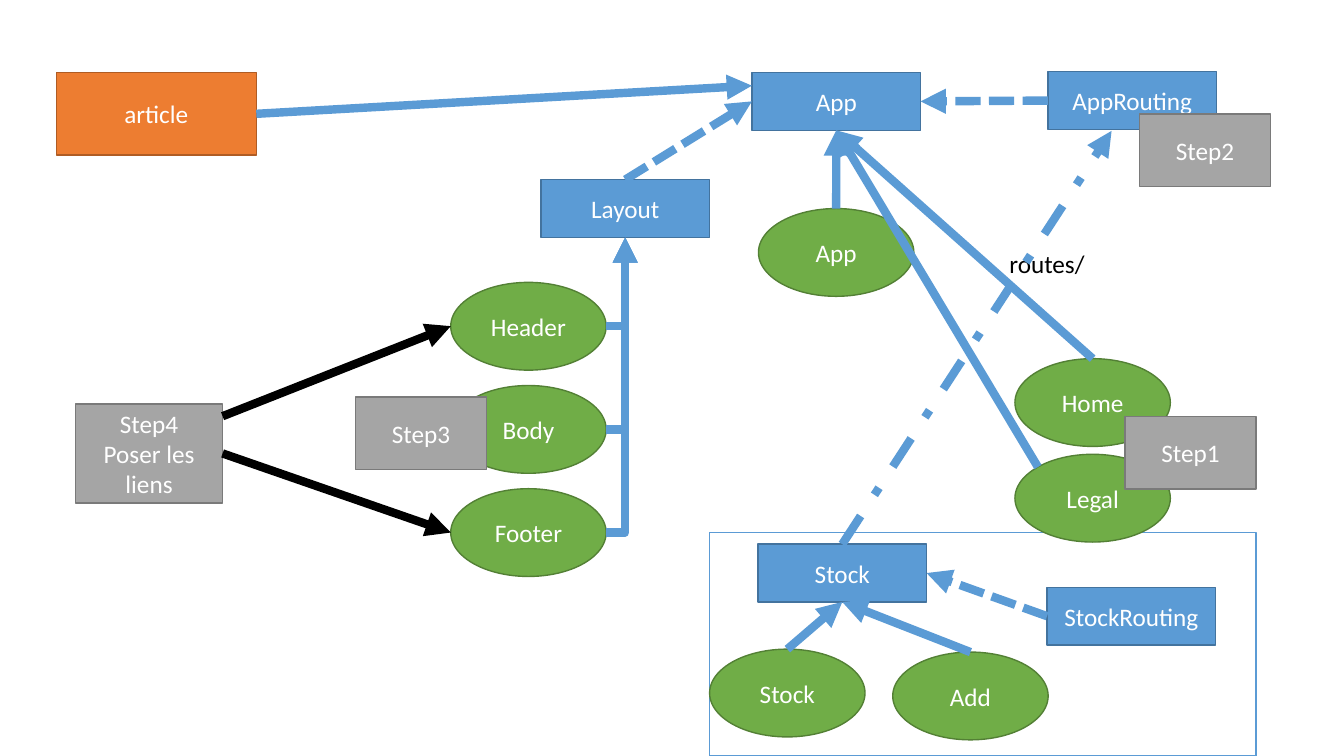
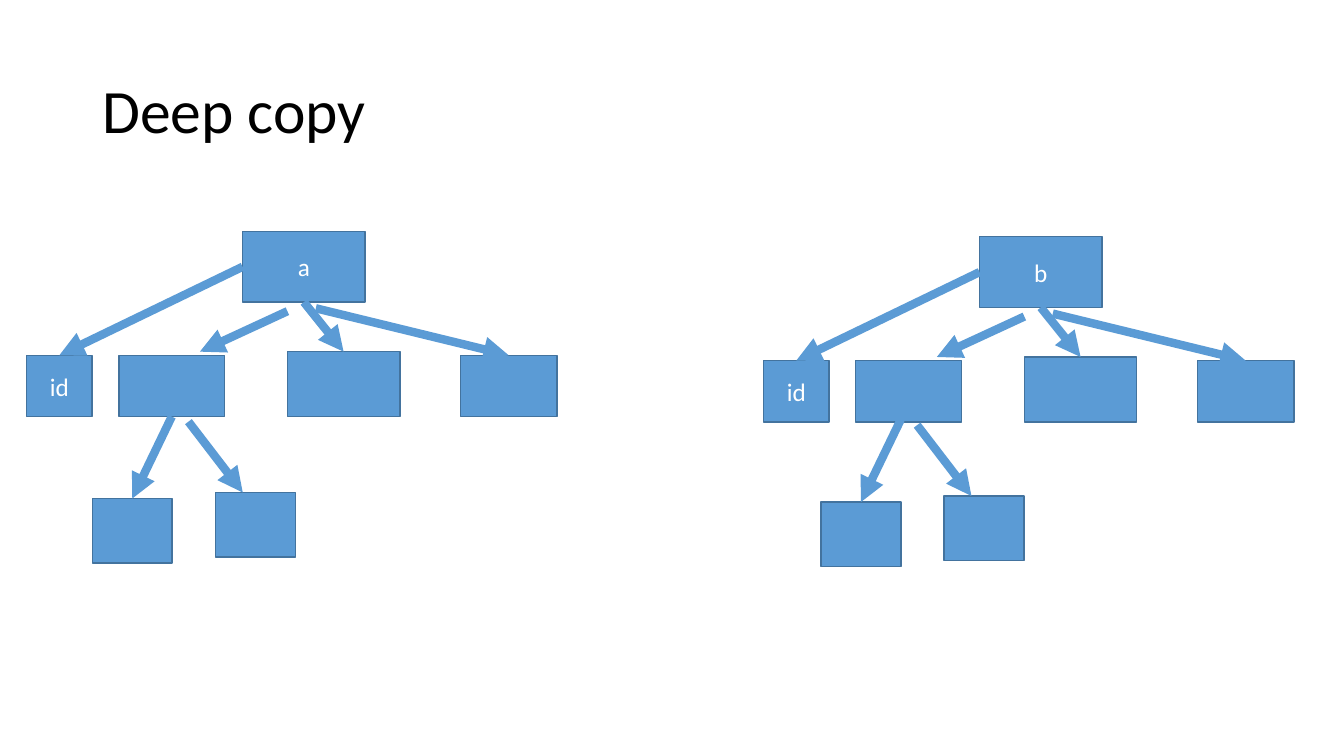
from pptx import Presentation
from pptx.dml.color import RGBColor
from pptx.enum.dml import MSO_LINE
from pptx.enum.shapes import MSO_CONNECTOR, MSO_SHAPE
from pptx.enum.text import MSO_ANCHOR, PP_ALIGN
from pptx.oxml.ns import qn
from pptx.util import Pt
from lxml.etree import SubElement

COLORS = {
    "white": "FFFFFF", "black": "000000",
    "blue": "5B9BD5", "blue edge": "43739E",
    "green": "70AD47", "green edge": "538035",
    "gray": "A5A5A5", "gray edge": "7A7A7A",
    "orange": "ED7D31", "orange edge": "AF5C24",
}
# Style: preset shape, fill, line
STYLES = {
    "frame": (MSO_SHAPE.RECTANGLE, "white", "blue"),
    "module": (MSO_SHAPE.RECTANGLE, "blue", "blue edge"),
    "component": (MSO_SHAPE.OVAL, "green", "green edge"),
    "step": (MSO_SHAPE.RECTANGLE, "gray", "gray edge"),
    "article": (MSO_SHAPE.RECTANGLE, "orange", "orange edge"),
}
RGB = {name: RGBColor.from_string(value) for name, value in COLORS.items()}
BODY_FONT = {"name": "Calibri", "size": Pt(18)}
TITLE_FONT = {"name": "Calibri", "size": Pt(44)}
TOP, LEFT, BOTTOM, RIGHT = range(4)


def write(shape, text, font, color, alignment):
    shape.text_frame.text = text
    for paragraph in shape.text_frame.paragraphs:
        paragraph.alignment = alignment
        for attribute, value in font.items():
            setattr(paragraph.font, attribute, value)
        paragraph.font.color.rgb = RGB[color]


def add_arrow(slide, begin, end, color="blue", dash=None, kind=MSO_CONNECTOR.STRAIGHT):
    """Each end is a point (x, y) or a joint (shape, side)."""
    joined = [not isinstance(place[0], (int, float)) for place in (begin, end)]
    points = [0 if is_joint else Pt(value)
              for place, is_joint in zip((begin, end), joined) for value in place]
    connector = slide.shapes.add_connector(kind, *points)
    if joined[0]:
        connector.begin_connect(*begin)
    if joined[1]:
        connector.end_connect(*end)
    connector.line.color.rgb = RGB[color]
    connector.line.width = Pt(6)
    if dash:
        connector.line.dash_style = dash
    properties = connector._element.spPr
    SubElement(properties.find(qn("a:ln")), qn("a:tailEnd"), type="triangle")
    SubElement(properties, qn("a:effectLst"))
    if kind == MSO_CONNECTOR.ELBOW:
        properties.find(qn("a:prstGeom")).set("prst", "bentConnector2")


presentation = Presentation()
presentation.slide_width, presentation.slide_height = Pt(960), Pt(540)
blank = presentation.slide_layouts[6]

# Slide 1: application structure
slide = presentation.slides.add_slide(blank)
groups = [  # style, width, height, places by text
    ("frame", 390.2, 159.8, {"": (506.9, 380.2)}),
    ("module", 120.5, 41.3, {
        "App": (537.1, 51.8), "AppRouting": (748.5, 51.2), "Layout": (386.4, 128.3),
        "Stock": (541.4, 388.7), "StockRouting": (747.9, 419.5)}),
    ("component", 111, 62.7, {
        "App": (541.8, 149),
        **{text: (322, 201.7 + 73.7 * row)
           for row, text in enumerate(("Header", "Body", "Footer"))},
        "Legal": (725, 324.5), "Home": (725, 256.2),
        "Stock": (506.9, 463.7), "Add": (637.7, 465.8)}),
    ("step", 93.5, 51.9, {
        "Step1": (803.7, 297.4), "Step2": (814, 81.3), "Step3": (254, 283.6)}),
    ("step", 105, 70.6, {"Step4\nPoser les liens": (54, 288.6)}),
    ("article", 142.9, 59, {"article": (40.2, 51.8)}),
]
nodes = {}
for style, width, height, places in groups:
    preset, fill, edge = STYLES[style]
    for text, (left, top) in places.items():
        shape = slide.shapes.add_shape(preset, Pt(left), Pt(top), Pt(width), Pt(height))
        shape.shadow.inherit = False
        shape.fill.solid()
        shape.fill.fore_color.rgb = RGB[fill]
        shape.line.color.rgb = RGB[edge]
        shape.line.width = Pt(1)
        if text:
            write(shape, text, BODY_FONT, "white", PP_ALIGN.CENTER)
        nodes[style, text.split("\n")[0]] = shape

routes = slide.shapes.add_textbox(Pt(714), Pt(173.5), Pt(69), Pt(29))
routes.text_frame.word_wrap = False
write(routes, "routes/", BODY_FONT, "black", PP_ALIGN.LEFT)

# Arrows into the layout
for middle in (306.7, 380.4, 233):
    add_arrow(slide, (433, middle), (446.6, 169.6), kind=MSO_CONNECTOR.ELBOW)

# Arrows between nodes
app, stock = nodes["module", "App"], nodes["module", "Stock"]
step4 = nodes["step", "Step4"]
dashed = {"dash": MSO_LINE.SQUARE_DOT}
arrows = [
    ((nodes["component", "App"], TOP), (app, BOTTOM), {}),
    ((nodes["module", "AppRouting"], LEFT), (app, RIGHT), dashed),
    ((nodes["module", "Layout"], TOP), (app, LEFT), dashed),
    ((nodes["component", "Home"], TOP), (app, BOTTOM), {}),
    ((741.4, 333.6), (app, BOTTOM), {}),
    ((step4, RIGHT), (322, 380.4), {"color": "black"}),
    ((159, 297.3), (322, 233), {"color": "black"}),
    ((nodes["component", "Stock"], TOP), (stock, BOTTOM), {}),
    ((nodes["module", "StockRouting"], LEFT), (stock, RIGHT), dashed),
    ((stock, TOP), (794, 93.5), {"dash": MSO_LINE.DASH_DOT}),
    ((nodes["component", "Add"], TOP), (stock, BOTTOM), {}),
    ((nodes["article", "article"], RIGHT), (537.1, 61.2), {}),
]
for begin, end, look in arrows:
    add_arrow(slide, begin, end, **look)

# Slide 2: two trees
slide = presentation.slides.add_slide(blank)
title = slide.shapes.add_textbox(Pt(66), Pt(28.8), Pt(828), Pt(104.4))
title.text_frame.word_wrap = True
title.text_frame.vertical_anchor = MSO_ANCHOR.MIDDLE
write(title, "Deep copy", TITLE_FONT, "black", PP_ALIGN.LEFT)
title.text_frame.paragraphs[0].line_spacing = 0.9

boxes = {  # name: left, top, width, height
    "root": (173.3, 165.3, 87.5, 50.5),
    "id": (18.9, 253.8, 47, 43.8),
    "branch": (84.9, 253.8, 75.6, 43.8),
    "middle": (205.3, 251.2, 80.3, 46.4),
    "last": (329, 253.8, 68.8, 43.8),
    "left leaf": (66, 356.1, 57, 46.2),
    "right leaf": (153.9, 351.8, 57, 46.2),
}
trees = [  # root text, upper shift, leaf shift, start of the left leaf arrow
    ("a", (0, 0), (0, 0), None),
    ("b", (526.4, 3.8), (520.5, 2.5), (643.4, 299.8)),
]
preset, fill, edge = STYLES["module"]
for root_text, upper, lower, leaf_start in trees:
    tree = {}
    for name, (left, top, width, height) in boxes.items():
        right_shift, down_shift = lower if "leaf" in name else upper
        shape = slide.shapes.add_shape(
            preset, Pt(left + right_shift), Pt(top + down_shift), Pt(width), Pt(height))
        shape.shadow.inherit = False
        shape.fill.solid()
        shape.fill.fore_color.rgb = RGB[fill]
        shape.line.color.rgb = RGB[edge]
        shape.line.width = Pt(1)
        if name in ("root", "id"):
            text = root_text if name == "root" else name
            write(shape, text, BODY_FONT, "white", PP_ALIGN.CENTER)
        tree[name] = shape

    x, y = upper
    leaf_x, leaf_y = lower
    for begin, end in [
        ((205.3 + x, 222.3 + y), (142.8 + x, 251.2 + y)),
        ((tree["root"], BOTTOM), (tree["middle"], TOP)),
        ((225.6 + x, 220.2 + y), (tree["last"], TOP)),
        ((tree["root"], LEFT), (tree["id"], TOP)),
        (leaf_start or (tree["branch"], BOTTOM), (tree["left leaf"], TOP)),
        ((134.6 + leaf_x, 301.2 + leaf_y), (173.4 + leaf_x, 351.8 + leaf_y)),
    ]:
        add_arrow(slide, begin, end)

presentation.save("out.pptx")
